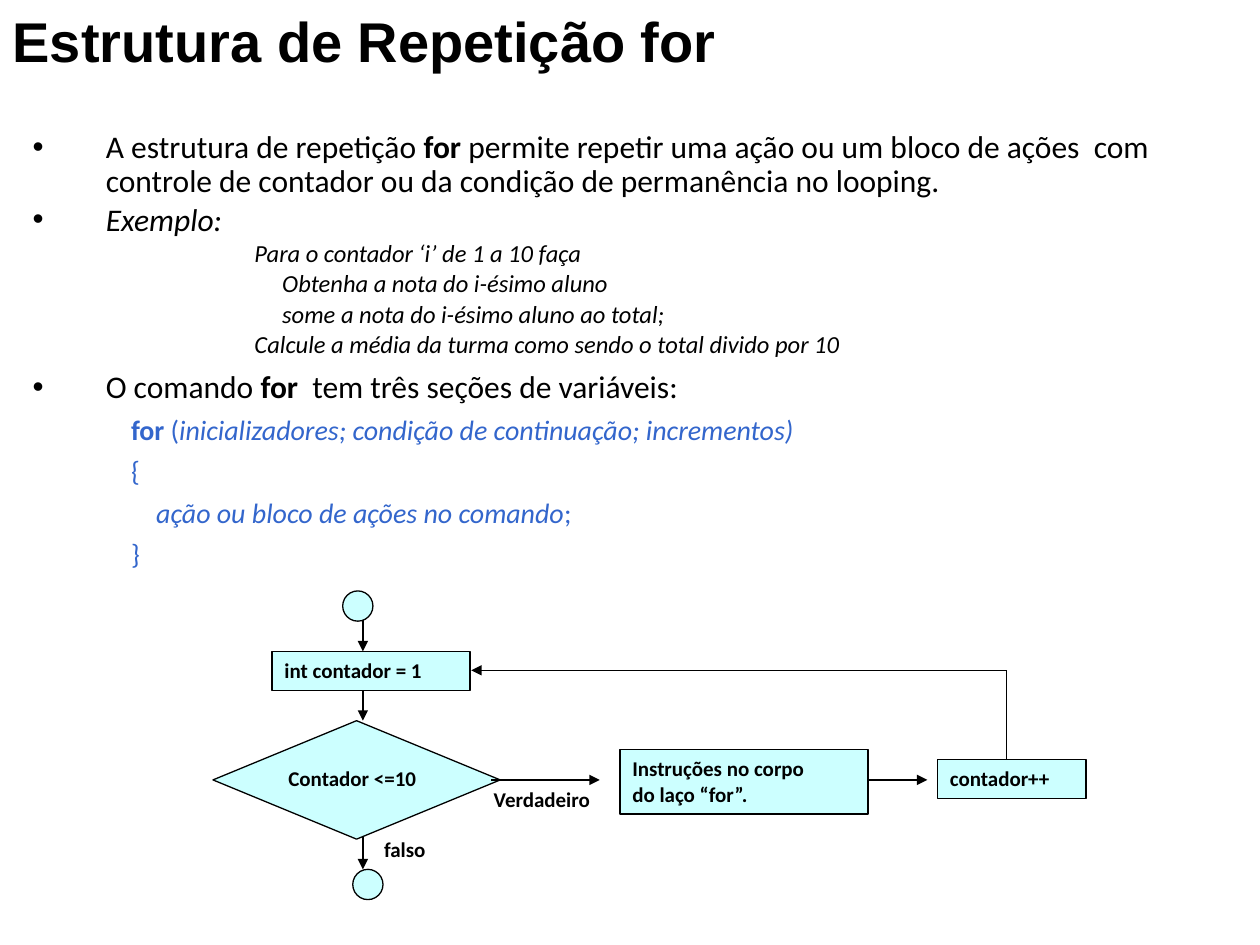
from dataclasses import dataclass

from lxml import etree
from pptx import Presentation
from pptx.dml.color import RGBColor
from pptx.enum import shapes, text
from pptx.oxml import ns
from pptx.util import Inches, Pt


@dataclass(frozen=True)
class Theme:
    ink: RGBColor = RGBColor(0x00, 0x00, 0x00)
    code: RGBColor = RGBColor(0x33, 0x66, 0xCC)
    box: RGBColor = RGBColor(0xCC, 0xFF, 0xFF)
    title_font: str = "Arial"
    body_font: str = "Calibri"
    title_size: int = 32
    body_size: int = 18
    example_size: int = 14
    code_size: int = 16
    label_size: int = 12
    line_width: float = 0.75


T = Theme()
MSO = shapes.MSO_SHAPE


@dataclass(frozen=True)
class Style:
    level: int
    size: int
    color: RGBColor
    margin: float
    indent: float
    before: float
    bullet: bool = False


POINT = Style(0, T.body_size, T.ink, 0.58, -0.58, 0.15, True)
LAST_POINT = Style(0, T.body_size, T.ink, 0.58, -0.58, 0.40, True)
EXAMPLE = Style(2, T.example_size, T.ink, 1.48, 0.28, 0.15)
EXAMPLE_INNER = Style(2, T.example_size, T.ink, 1.48, 0.50, 0.15)
CODE = Style(1, T.code_size, T.code, 1.28, -0.50, 0.40)
CODE_INNER = Style(1, T.code_size, T.code, 1.28, -0.30, 0.40)

BODY = [
    (POINT, [("A estrutura de repetição ", ""), ("for ", "b"),
             ("permite repetir uma ação ou um bloco de ações  com controle de "
              "contador ou da condição de permanência no looping.", "")]),
    (POINT, [("Exemplo:", "i")]),
    (EXAMPLE, [("Para o contador ‘i’ de 1 a 10 faça", "i")]),
    (EXAMPLE_INNER, [("Obtenha a nota do i-ésimo aluno", "i")]),
    (EXAMPLE_INNER, [("some a nota do i-ésimo aluno ao total;", "i")]),
    (EXAMPLE, [("Calcule a média da turma como sendo o total divido por 10", "i")]),
    (LAST_POINT, [("O comando ", ""), ("for", "b"),
                  ("  tem três seções de variáveis:", "")]),
    (CODE, [("for", "b"), (" (", ""),
            ("inicializadores; condição de continuação; incrementos)", "i")]),
    (CODE, [("{", "")]),
    (CODE_INNER, [("ação ou bloco de ações no comando", "i"), (";", "")]),
    (CODE, [("}", "")]),
]


def place(s, box):
    s.left, s.top, s.width, s.height = (Inches(v) for v in box)


def set_font(p, name, size, color, bold=None):
    p.font.name, p.font.size, p.font.bold = name, Pt(size), bold
    p.font.color.rgb = color


def add_title(slide, box):
    s = slide.shapes.title
    place(s, box)
    tf = s.text_frame
    tf.text = "Estrutura de Repetição for"
    tf.auto_size = text.MSO_AUTO_SIZE.NONE
    tf.vertical_anchor = text.MSO_ANCHOR.TOP
    p = tf.paragraphs[0]
    p.alignment = text.PP_ALIGN.LEFT
    set_font(p, T.title_font, T.title_size, T.ink, True)


def format_paragraph(p, style):
    p.level = style.level
    p.line_spacing = 0.9
    p.space_before = Pt(round(style.size * style.before, 1))
    set_font(p, T.body_font, style.size, style.color)
    pPr = p._p.get_or_add_pPr()
    pPr.set("marL", str(Inches(style.margin)))
    pPr.set("indent", str(Inches(style.indent)))
    bullet = etree.Element(ns.qn("a:buChar" if style.bullet else "a:buNone"))
    if style.bullet:
        bullet.set("char", "•")
    pPr.find(ns.qn("a:defRPr")).addprevious(bullet)


def add_body(slide, box):
    s = slide.placeholders[1]
    place(s, box)
    tf = s.text_frame
    tf.auto_size = text.MSO_AUTO_SIZE.NONE
    for i, (style, runs) in enumerate(BODY):
        p = tf.add_paragraph() if i else tf.paragraphs[0]
        format_paragraph(p, style)
        for words, mark in runs:
            r = p.add_run()
            r.text = words
            r.font.bold, r.font.italic = mark == "b", mark == "i"


def write_label(s, words):
    tf = s.text_frame
    tf.word_wrap = True
    tf.vertical_anchor = text.MSO_ANCHOR.TOP
    p = tf.paragraphs[0]
    p.text = words
    p.alignment = text.PP_ALIGN.LEFT
    set_font(p, T.body_font, T.label_size, T.ink, True)


def add_node(slide, kind, box, words=""):
    s = slide.shapes.add_shape(kind, *(Inches(v) for v in box))
    s.shadow.inherit = False
    s.fill.solid()
    s.fill.fore_color.rgb = T.box
    s.line.color.rgb = T.ink
    s.line.width = Pt(T.line_width)
    if words:
        write_label(s, words)


def add_label(slide, box, words):
    write_label(slide.shapes.add_textbox(*(Inches(v) for v in box)), words)


def add_line(slide, start, end, arrow=True):
    s = slide.shapes.add_connector(
        shapes.MSO_CONNECTOR.STRAIGHT, *(Inches(v) for v in start + end))
    s.line.color.rgb = T.ink
    s.line.width = Pt(T.line_width)
    if arrow:
        etree.SubElement(s.line._get_or_add_ln(), ns.qn("a:tailEnd"), type="triangle")
    etree.SubElement(s._element.spPr, ns.qn("a:effectLst"))


def add_flowchart(slide, box):
    x, y, w, h = box
    axis, dot = x + 1.19, 0.24
    init_y, flow_y = y + 0.63, y + 1.5
    back_x = x + 6.3

    add_line(slide, (axis, y + 0.08), (axis, y + 0.48))
    add_node(slide, MSO.FLOWCHART_CONNECTOR, (x + 1.03, y, dot, dot))
    add_line(slide, (axis, init_y), (axis, y + 1.03))
    add_node(slide, MSO.FLOWCHART_CONNECTOR, (x + 1.11, y + h - dot, dot, dot))
    add_node(slide, MSO.RECTANGLE, (x + 0.47, y + 0.48, 1.57, 0.31), "int contador = 1")
    add_label(slide, (x + 2.13, flow_y, 1.18, 0.3), "Verdadeiro")
    add_label(slide, (x + 1.26, y + 1.9, 0.63, 0.3), "falso")
    add_line(slide, (axis, y + 1.82), (axis, y + h - dot))
    add_node(slide, MSO.FLOWCHART_DECISION, (x, y + 1.03, 2.28, 0.94))
    add_label(slide, (x + 0.5, y + 1.34, 1.39, 0.3), "Contador <=10")
    for start in (x + 2.21, x + 4.81):
        add_line(slide, (start, flow_y), (start + 0.86, flow_y))
    add_node(slide, MSO.RECTANGLE, (x + 3.23, y + 1.26, 1.97, 0.51),
             "Instruções no corpo\vdo laço “for”.")
    add_node(slide, MSO.RECTANGLE, (x + w - 1.18, y + 1.34, 1.18, 0.31), "contador++")
    add_line(slide, (back_x, init_y), (x + 2.05, init_y))
    add_line(slide, (back_x, init_y), (back_x, y + 1.34), arrow=False)


def main():
    prs = Presentation()
    prs.slide_width, prs.slide_height = Inches(10), Inches(7.5)
    slide = prs.slides.add_slide(prs.slide_layouts[1])
    add_title(slide, (0, 0, 10, 0.64))
    add_body(slide, (0.16, 0.99, 9.48, 3.86))
    add_flowchart(slide, (1.69, 4.69, 6.93, 2.45))
    prs.save("out.pptx")


if __name__ == "__main__":
    main()
